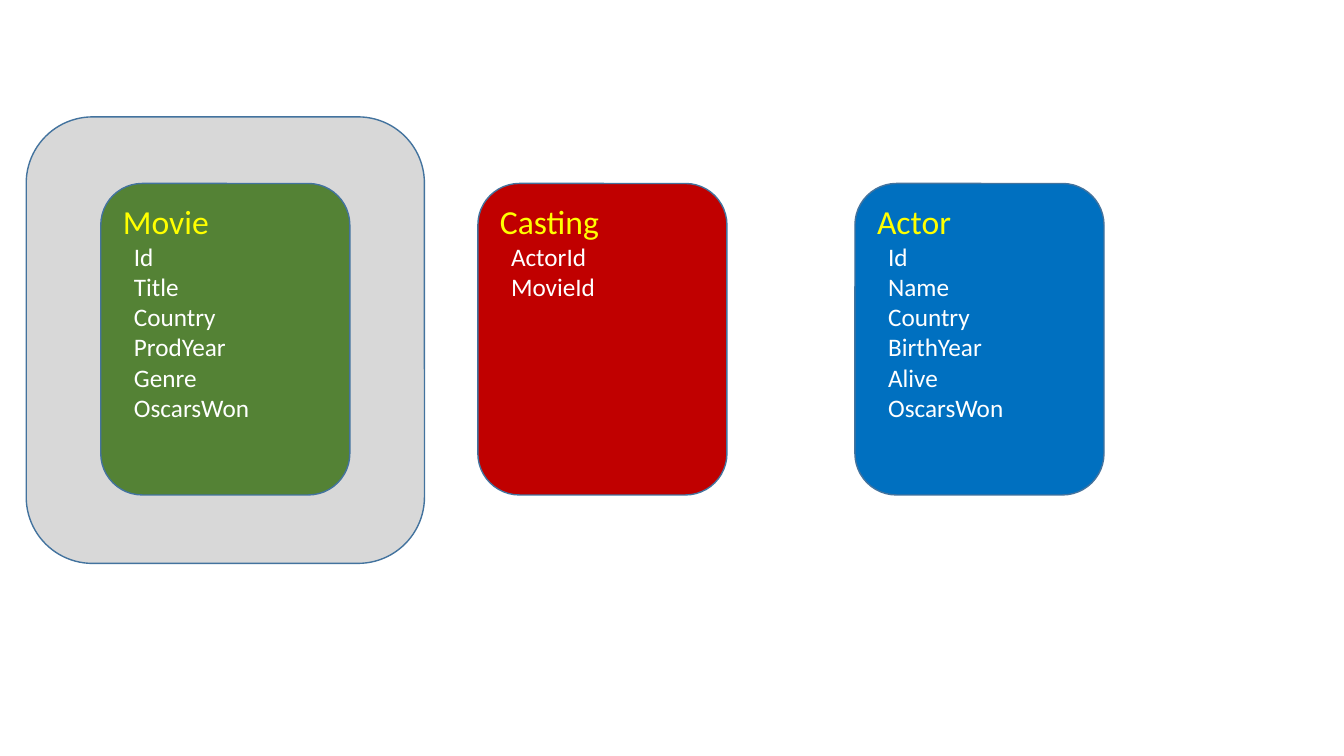
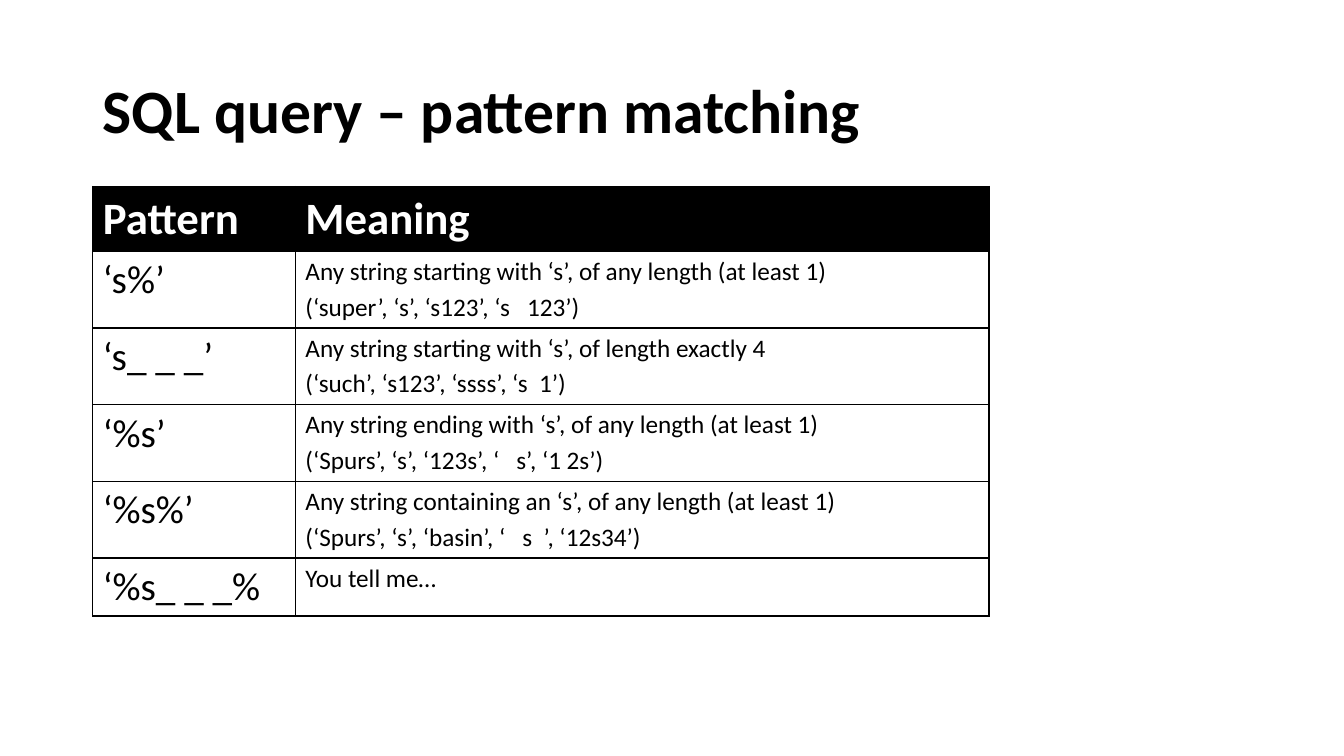
import pptx
import pptx.util
import pptx.dml.color
import pptx.enum.shapes
import pptx.enum.text
import pptx.oxml
import lxml.etree

Inches = pptx.util.Inches
Pt = pptx.util.Pt

# Shared style
FONT = "Calibri"
BLACK, WHITE, YELLOW = "000000", "FFFFFF", "FFFF00"
GREY, EDGE = "808080", "43739E"
NS = "http://schemas.openxmlformats.org/drawingml/2006/main"

ENTITIES = [
    ("Movie", "548235",
     ["Id", "Title", "Country", "ProdYear", "Genre", "OscarsWon"]),
    ("Casting", "C00000", ["ActorId", "MovieId"]),
    ("Actor", "0070C0",
     ["Id", "Name", "Country", "BirthYear", "Alive", "OscarsWon"]),
]

PATTERNS = [
    ("Pattern", "Meaning"),
    ("‘s%’", "Any string starting with ‘s’, of any length (at least 1)\n"
             "(‘super’, ‘s’, ‘s123’, ‘s   123’)"),
    ("‘s_ _ _’", "Any string starting with ‘s’, of length exactly 4\n"
                 "(‘such’, ‘s123’, ‘ssss’, ‘s  1’)"),
    ("‘%s’", "Any string ending with ‘s’, of any length (at least 1)\n"
             "(‘Spurs’, ‘s’, ‘123s’, ‘   s’, ‘1 2s’)"),
    ("‘%s%’", "Any string containing an ‘s’, of any length (at least 1)\n"
              "(‘Spurs’, ‘s’, ‘basin’, ‘   s  ’, ‘12s34’)"),
    ("‘%s_ _ _%", "You tell me…"),
]


def paint(target, color):
    """Give a fill or line fill a solid colour."""
    target.solid()
    target.fore_color.rgb = pptx.dml.color.RGBColor.from_string(color)


def style(para, size, color, bold=False):
    """Format every run of a paragraph."""
    for run in para.runs:
        run.font.name = FONT
        run.font.size = Pt(size)
        run.font.bold = bold
        paint(run.font.fill, color)


def panel(slide, box, color, alpha=None):
    """Rounded box with the shared outline."""
    shape = slide.shapes.add_shape(
        pptx.enum.shapes.MSO_SHAPE.ROUNDED_RECTANGLE, *map(Inches, box))
    shape.shadow.inherit = False
    paint(shape.fill, color)
    paint(shape.line.fill, EDGE)
    shape.line.width = Pt(1)
    if alpha is not None:
        tone = shape.fill._xPr.find(f".//{{{NS}}}srgbClr")
        lxml.etree.SubElement(tone, f"{{{NS}}}alpha", val=str(alpha * 1000))
    return shape


def entity(slide, box, name, color, fields):
    """Panel with an entity name above its indented fields."""
    frame = panel(slide, box, color).text_frame
    frame.word_wrap = True
    frame.vertical_anchor = pptx.enum.text.MSO_ANCHOR.TOP
    frame.text = "\n".join([name] + fields)
    for i, para in enumerate(frame.paragraphs):
        para.alignment = pptx.enum.text.PP_ALIGN.LEFT
        if i:
            para._p.get_or_add_pPr().set("marL", str(Inches(0.11)))
        style(para, 18 if i else 24, WHITE if i else YELLOW)


def heading(slide, box, text):
    """Title placeholder, moved and formatted."""
    title = slide.shapes.title
    title.left, title.top, title.width, title.height = map(Inches, box)
    frame = title.text_frame
    frame.text = text
    frame.vertical_anchor = pptx.enum.text.MSO_ANCHOR.MIDDLE
    para = frame.paragraphs[0]
    para.alignment = pptx.enum.text.PP_ALIGN.LEFT
    para.line_spacing = 0.9
    style(para, 44, BLACK, True)


def border(cell):
    """Thin black line on all four sides; lines go before the fill."""
    props = cell._tc.get_or_add_tcPr()
    for i, side in enumerate(("lnL", "lnR", "lnT", "lnB")):
        props.insert(i, pptx.oxml.parse_xml(
            f'<a:{side} xmlns:a="{NS}" w="{Pt(1)}"><a:solidFill>'
            f'<a:srgbClr val="{BLACK}"/></a:solidFill></a:{side}>'))


def grid(slide, box, rows, widths, heights):
    """Bordered table with a dark header row."""
    table = slide.shapes.add_table(
        len(rows), len(widths), *map(Inches, box)).table
    for col, width in zip(table.columns, widths):
        col.width = Inches(width)
    for r, (row, height) in enumerate(zip(rows, heights)):
        table.rows[r].height = Inches(height)
        for c, text in enumerate(row):
            cell = table.cell(r, c)
            cell.text = text
            paint(cell.fill, WHITE if r else BLACK)
            border(cell)
            size = (28, 18)[c] if r else 32
            for i, para in enumerate(cell.text_frame.paragraphs):
                if i:
                    para.space_before = Pt(size * 0.2)
                style(para, size, BLACK if r else WHITE, not r)


def schema(deck):
    """Slide with three entities, the first one highlighted."""
    slide = deck.slides.add_slide(deck.slide_layouts[6])
    panel(slide, (0.26, 1.16, 3.95, 4.43), GREY, 30)
    for i, (name, color, fields) in enumerate(ENTITIES):
        entity(slide, (1 + 3.74 * i, 1.82, 2.47, 3.09), name, color, fields)


def matching(deck):
    """Slide with the table of patterns."""
    slide = deck.slides.add_slide(deck.slide_layouts[5])
    heading(slide, (0.92, 0.4, 11.5, 1.45), "SQL query – pattern matching")
    grid(slide, (0.92, 1.85, 8.89, 4.25), PATTERNS,
         (2.01, 6.88), [0.64] + [0.76] * 4 + [0.57])


def main():
    deck = pptx.Presentation()
    deck.slide_width, deck.slide_height = Inches(13.33), Inches(7.5)
    schema(deck)
    matching(deck)
    deck.save("out.pptx")


if __name__ == "__main__":
    main()
